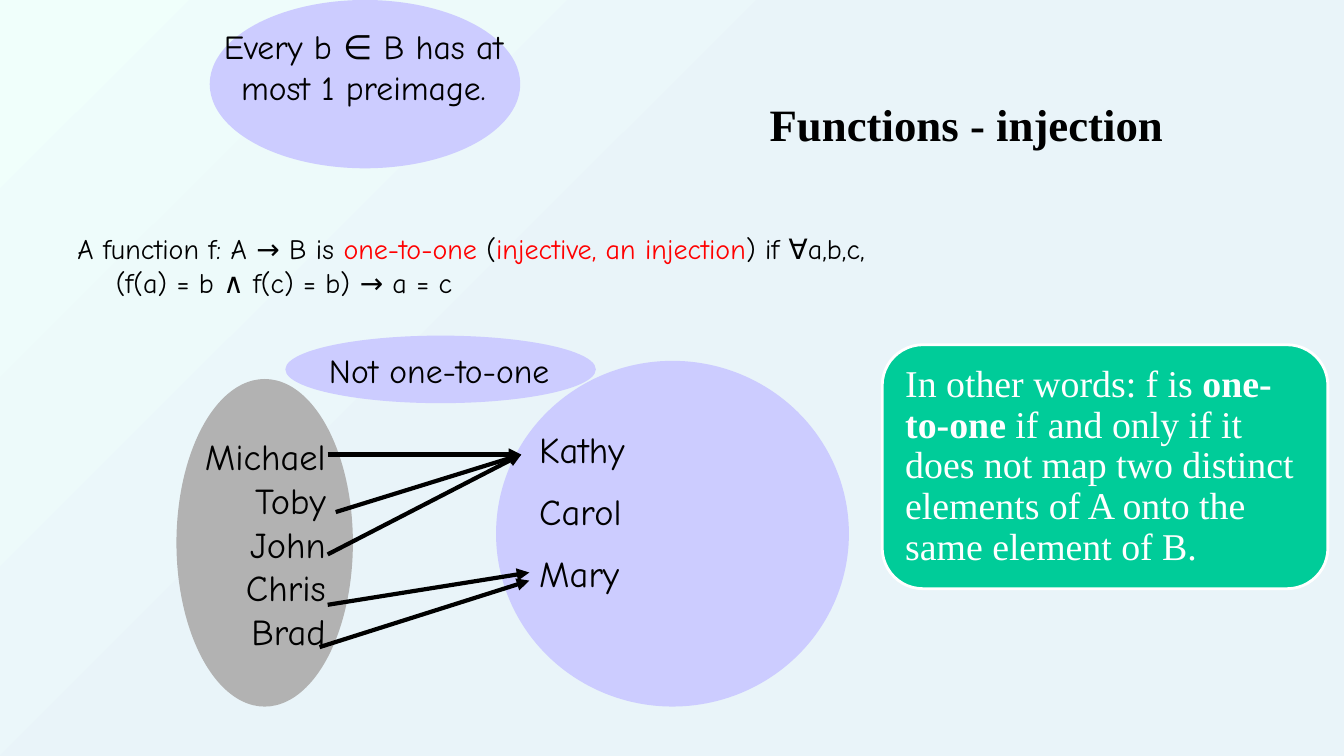
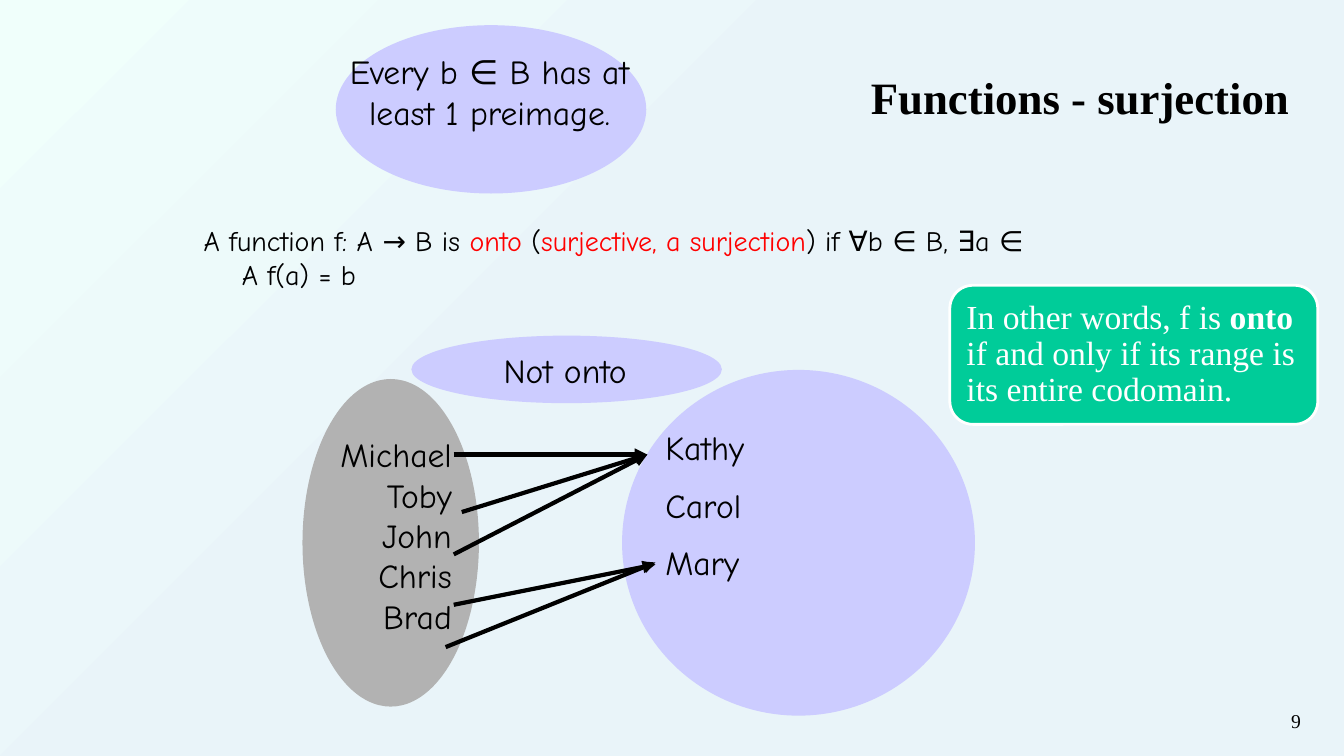
from dataclasses import dataclass

from lxml.etree import SubElement
from pptx import Presentation
from pptx.dml.color import RGBColor
from pptx.enum.shapes import MSO_CONNECTOR, MSO_SHAPE
from pptx.enum.text import MSO_ANCHOR, PP_ALIGN
from pptx.oxml.ns import qn
from pptx.util import Inches, Pt

BLACK = RGBColor(0x00, 0x00, 0x00)
WHITE = RGBColor(0xFF, 0xFF, 0xFF)
RED = RGBColor(0xFF, 0x00, 0x00)
LAVENDER = RGBColor(0xCC, 0xCC, 0xFF)
GRAY = RGBColor(0xB2, 0xB2, 0xB2)
GREEN = RGBColor(0x00, 0xCC, 0x99)
MINT = RGBColor(0xF0, 0xFF, 0xFB)
PALE_BLUE = RGBColor(0xE9, 0xF4, 0xF9)

SERIF = "Times New Roman"
HAND = "Comic Neue"

DOMAIN = ["Michael", "Toby", "John", "Chris", "Brad"]
CODOMAIN = ["Kathy", "Carol", "Mary"]
ARROW_STARTS = [(3.25, 4.51), (3.33, 5.08), (3.25, 5.5), (3.25, 6), (3.17, 6.42)]
KATHY_END = (5.17, 4.51)
MARY_LEFT = 5.25


@dataclass
class FunctionKind:
    """Content of one slide; left shifts everything but the callout.

    In definition and callout every second part is emphasised.
    """
    left: float
    title: str
    title_top: float
    rule: str
    rule_top: float
    definition: list
    definition_top: float
    counterexample: str
    codomain_top: float
    name_size: int
    mary_heights: list
    callout: list
    callout_box: tuple
    callout_size: int
    callout_margin: float


INJECTION = FunctionKind(
    left=0,
    title="Functions - injection",
    title_top=0.6,
    rule="Every b ∈ B has at most 1 preimage.",
    rule_top=0,
    definition=["A function f: A → B is ", "one-to-one", " (", "injective, an injection",
                ") if ∀a,b,c, (f(a) = b ∧ f(c) = b) → a = c"],
    definition_top=2.25,
    counterexample="Not one-to-one",
    codomain_top=3.58,
    name_size=26,
    mary_heights=[5.68, 5.76],
    callout=["In other words: f is ", "one-to-one",
             " if and only if it does not map two distinct elements of A"
             " onto the same element of B."],
    callout_box=(8.75, 3.42, 4.42, 2.42),
    callout_size=27,
    callout_margin=0.11,
)

SURJECTION = FunctionKind(
    left=1.25,
    title="Functions - surjection",
    title_top=0.33,
    rule="Every b ∈ B has at least 1 preimage.",
    rule_top=0.25,
    definition=["A function f: A → B is ", "onto", " (", "surjective, a surjection",
                ") if ∀b ∈ B, ∃a ∈ A f(a) = b"],
    definition_top=2.17,
    counterexample="Not onto",
    codomain_top=3.67,
    name_size=24,
    mary_heights=[5.6, 5.58],
    callout=["In other words, f is ", "onto",
             " if and only if its range is its entire codomain."],
    callout_box=(9.42, 2.83, 3.65, 1.38),
    callout_size=24,
    callout_margin=0.1,
)


def set_background(master):
    fill = master.background.fill
    fill.gradient()
    fill.gradient_angle = 315
    for stop, position, color in zip(fill.gradient_stops, (0, 0.45), (MINT, PALE_BLUE)):
        stop.position = position
        stop.color.rgb = color


def style_font(font, name, size, color=BLACK, bold=False):
    font.name = name
    font.size = Pt(size)
    font.color.rgb = color
    font.bold = bold


def add_title(slide, text, left, top):
    title = slide.shapes.title
    title.left, title.top = Inches(left), Inches(top)
    title.width, title.height = Inches(11.33), Inches(1.25)
    title.text_frame.text = text
    title.text_frame.vertical_anchor = MSO_ANCHOR.MIDDLE
    paragraph = title.text_frame.paragraphs[0]
    paragraph.alignment = PP_ALIGN.RIGHT
    style_font(paragraph.font, SERIF, 32, bold=True)


def add_text(slide, box, lines, size, align=PP_ALIGN.LEFT, space_before=0, font=HAND):
    shape = slide.shapes.add_textbox(*map(Inches, box))
    frame = shape.text_frame
    frame.word_wrap = True
    for index, line in enumerate(lines):
        paragraph = frame.add_paragraph() if index else frame.paragraphs[0]
        paragraph.text = line
        paragraph.alignment = align
        paragraph.space_before = Pt(space_before if index else 0)
        style_font(paragraph.font, font, size)
    return shape


def add_filled_shape(slide, kind, box, color):
    shape = slide.shapes.add_shape(kind, *map(Inches, box))
    shape.shadow.inherit = False
    shape.fill.solid()
    shape.fill.fore_color.rgb = color
    shape.line.fill.background()
    return shape


def add_ellipse(slide, box, color):
    add_filled_shape(slide, MSO_SHAPE.OVAL, box, color)


def add_caption(slide, left, top, height, text_offset, text):
    """Add an ellipse with a centred text that may reach beyond its outline."""
    add_ellipse(slide, (left, top, 3.08, height), LAVENDER)
    add_text(slide, (left, top + text_offset, 3.05, height - text_offset),
             [text], 24, PP_ALIGN.CENTER)


def add_parts(paragraph, parts):
    """Add the parts as runs and return the emphasised ones."""
    runs = []
    for part in parts:
        run = paragraph.add_run()
        run.text = part
        runs.append(run)
    return runs[1::2]


def add_definition(slide, left, top, parts):
    shape = add_text(slide, (left, top, 8.38, 0.9), [""], 20)
    paragraph = shape.text_frame.paragraphs[0]
    for run in add_parts(paragraph, parts):
        run.font.color.rgb = RED
    properties = paragraph._p.get_or_add_pPr()
    properties.set("marL", str(Inches(0.38)))
    properties.set("indent", str(-Inches(0.38)))


def add_callout(slide, box, parts, size, margin):
    shape = add_filled_shape(slide, MSO_SHAPE.ROUNDED_RECTANGLE, box, GREEN)
    shape.line.color.rgb = WHITE
    shape.line.width = Pt(2)
    frame = shape.text_frame
    frame.word_wrap = True
    frame.vertical_anchor = MSO_ANCHOR.MIDDLE
    frame.margin_left = frame.margin_right = Inches(margin)
    frame.margin_top = frame.margin_bottom = Inches(margin)
    paragraph = frame.paragraphs[0]
    paragraph.alignment = PP_ALIGN.LEFT
    paragraph.line_spacing = 0.9
    style_font(paragraph.font, SERIF, size, WHITE)
    for run in add_parts(paragraph, parts):
        run.font.bold = True


def add_arrow(slide, start, end):
    arrow = slide.shapes.add_connector(
        MSO_CONNECTOR.STRAIGHT, *map(Inches, (*start, *end)))
    arrow.line.color.rgb = BLACK
    arrow.line.width = Pt(3)
    SubElement(arrow.line._get_or_add_ln(), qn("a:tailEnd"), type="triangle")
    SubElement(arrow._element.spPr, qn("a:effectLst"))


def add_mapping(slide, kind):
    """Draw both sets with their members and the arrows between them."""
    left, size = kind.left, kind.name_size
    add_ellipse(slide, (left + 1.75, 3.76, 1.75, 3.25), GRAY)
    add_text(slide, (left + 1.83, 4.26, 1.5, 2.29), DOMAIN, size, PP_ALIGN.RIGHT)
    add_ellipse(slide, (left + 4.92, kind.codomain_top, 3.5, 3.43), LAVENDER)
    add_text(slide, (left + 5.25, 4.19, 2.83, 1.85), CODOMAIN, size,
             space_before=size / 2)
    ends = [KATHY_END] * 3 + [(MARY_LEFT, height) for height in kind.mary_heights]
    for (start_x, start_y), (end_x, end_y) in zip(ARROW_STARTS, ends):
        add_arrow(slide, (left + start_x, start_y), (left + end_x, end_y))


def add_function_slide(presentation, kind):
    slide = presentation.slides.add_slide(presentation.slide_layouts[5])
    left = kind.left
    add_title(slide, kind.title, left + 0.31, kind.title_top)
    add_definition(slide, left + 0.67, kind.definition_top, kind.definition)
    add_caption(slide, left + 2.83, 3.33, 0.67, 0.09, kind.counterexample)
    add_caption(slide, left + 2.08, kind.rule_top, 1.67, 0.21, kind.rule)
    add_mapping(slide, kind)
    add_callout(slide, kind.callout_box, kind.callout, kind.callout_size,
                kind.callout_margin)
    return slide


def main():
    presentation = Presentation()
    presentation.slide_width = Inches(13.33)
    presentation.slide_height = Inches(7.5)
    set_background(presentation.slide_master)
    add_function_slide(presentation, INJECTION)
    surjection_slide = add_function_slide(presentation, SURJECTION)
    add_text(surjection_slide, (9.89, 6.98, 3.11, 0.52), ["9"], 14,
             PP_ALIGN.RIGHT, font=SERIF)
    presentation.save("out.pptx")


if __name__ == "__main__":
    main()
